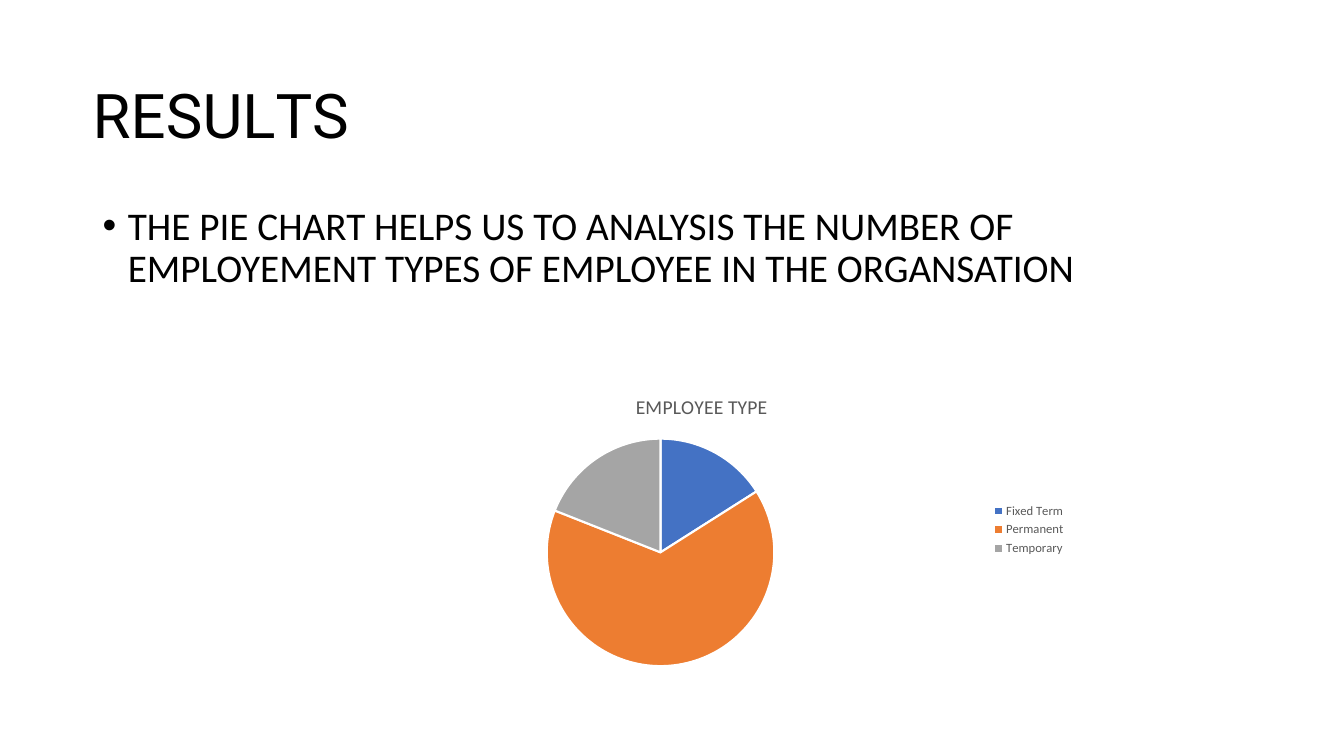
from lxml import etree
from pptx import Presentation
from pptx import util as u
from pptx.chart.data import CategoryChartData
from pptx.dml.color import RGBColor
from pptx.enum import chart as charts, text
from pptx.oxml import parse_xml
from pptx.oxml.ns import nsdecls, qn

MARGIN, CONTENT_WIDTH = 0.92, 11.5
BLACK, GREY, WHITE = "000000", "595959", "FFFFFF"


def color(hex_string):
    return RGBColor.from_string(hex_string)


def add_text(runs, top, height, *, font, size, before, insets=(0.1, 0.05, 0.1, 0.05),
             anchor=text.MSO_ANCHOR.TOP, line_spacing=None, indent=0, bullet=None):
    """Add a one-paragraph text box; runs are (text, letter spacing in points) pairs."""
    box = slide.shapes.add_textbox(
        u.Inches(MARGIN), u.Inches(top), u.Inches(CONTENT_WIDTH), u.Inches(height))
    frame = box.text_frame
    frame.word_wrap = True
    frame.vertical_anchor = anchor
    frame.margin_left, frame.margin_top, frame.margin_right, frame.margin_bottom = map(
        u.Inches, insets)
    paragraph = frame.paragraphs[0]
    paragraph.space_before = u.Pt(before)
    paragraph.line_spacing = line_spacing
    for words, spacing in runs:
        run = paragraph.add_run()
        run.text = words
        run.font.name, run.font.size = font, u.Pt(size)
        run.font.color.rgb = color(BLACK)
        if spacing:
            run._r.get_or_add_rPr().set("spc", str(round(spacing * 100)))
    if bullet:
        properties = paragraph._p.get_or_add_pPr()
        properties.set("marL", str(u.Inches(indent)))
        properties.set("indent", str(-u.Inches(indent)))
        etree.SubElement(properties, qn("a:buFont")).set("typeface", "Arial")
        etree.SubElement(properties, qn("a:buChar")).set("char", bullet)


presentation = Presentation()
presentation.slide_width, presentation.slide_height = u.Inches(13.33), u.Inches(7.5)
slide = presentation.slides.add_slide(presentation.slide_layouts[6])

add_text([("R", 0), ("E", -0.4), ("S", 0.1), ("U", -0.3), ("L", -4), ("TS", 0)],
         0.4, 1.45, font="Roboto", size=44, before=1.1,
         insets=(0, 0.01, 0, 0), anchor=text.MSO_ANCHOR.MIDDLE)
add_text([("THE PIE CHART HELPS US TO ANALYSIS THE NUMBER OF "
           "EMPLOYEMENT TYPES OF EMPLOYEE IN THE ORGANSATION", 0)],
         2, 4.76, font="Calibri", size=28, before=10,
         line_spacing=0.9, indent=0.25, bullet="•")

employee_types = [("Fixed Term", 16, "4472C4"),
                  ("Permanent", 65, "ED7D31"),
                  ("Temporary", 19, "A5A5A5")]
data = CategoryChartData()
data.categories = [name for name, _, _ in employee_types]
data.add_series("Series 1", [value for _, value, _ in employee_types])
chart = slide.shapes.add_chart(
    charts.XL_CHART_TYPE.PIE, u.Inches(3.25), u.Inches(3.75),
    u.Inches(7.42), u.Inches(3.01), data).chart
chart.font.name, chart.font.size = "Calibri", u.Pt(10)
chart.font.color.rgb = color(BLACK)

chart.has_title = True
chart.chart_title.include_in_layout = False
chart.chart_title.text_frame.text = "EMPLOYEE TYPE"
title_font = chart.chart_title.text_frame.paragraphs[0].runs[0].font
title_font.size, title_font.bold, title_font.name = u.Pt(14), False, "Calibri"
title_font.color.rgb = color(GREY)

chart.has_legend = True
chart.legend.position = charts.XL_LEGEND_POSITION.RIGHT
chart.legend.include_in_layout = False
chart.legend.font.name, chart.legend.font.size = "Calibri", u.Pt(9)
chart.legend.font.color.rgb = color(GREY)

plot = chart.plots[0]
plot.vary_by_categories = True
for index, (_, _, fill) in enumerate(employee_types):
    point = plot.series[0].points[index].format
    point.fill.solid()
    point.fill.fore_color.rgb = color(fill)
    point.line.color.rgb = color(WHITE)
    point.line.width = u.Pt(1.5)

# Fixed place of the pie, as shares of the chart's size
plot_area = chart._chartSpace.chart.plotArea
for old_layout in plot_area.findall(qn("c:layout")):
    plot_area.remove(old_layout)
shares = {"x": 0.29, "y": 0.2, "w": 0.31, "h": 0.75}
plot_area.insert(0, parse_xml(
    f'<c:layout {nsdecls("c")}><c:manualLayout><c:layoutTarget val="inner"/>'
    '<c:xMode val="edge"/><c:yMode val="edge"/>'
    + "".join(f'<c:{key} val="{share}"/>' for key, share in shares.items())
    + "</c:manualLayout></c:layout>"))

presentation.save("out.pptx")
